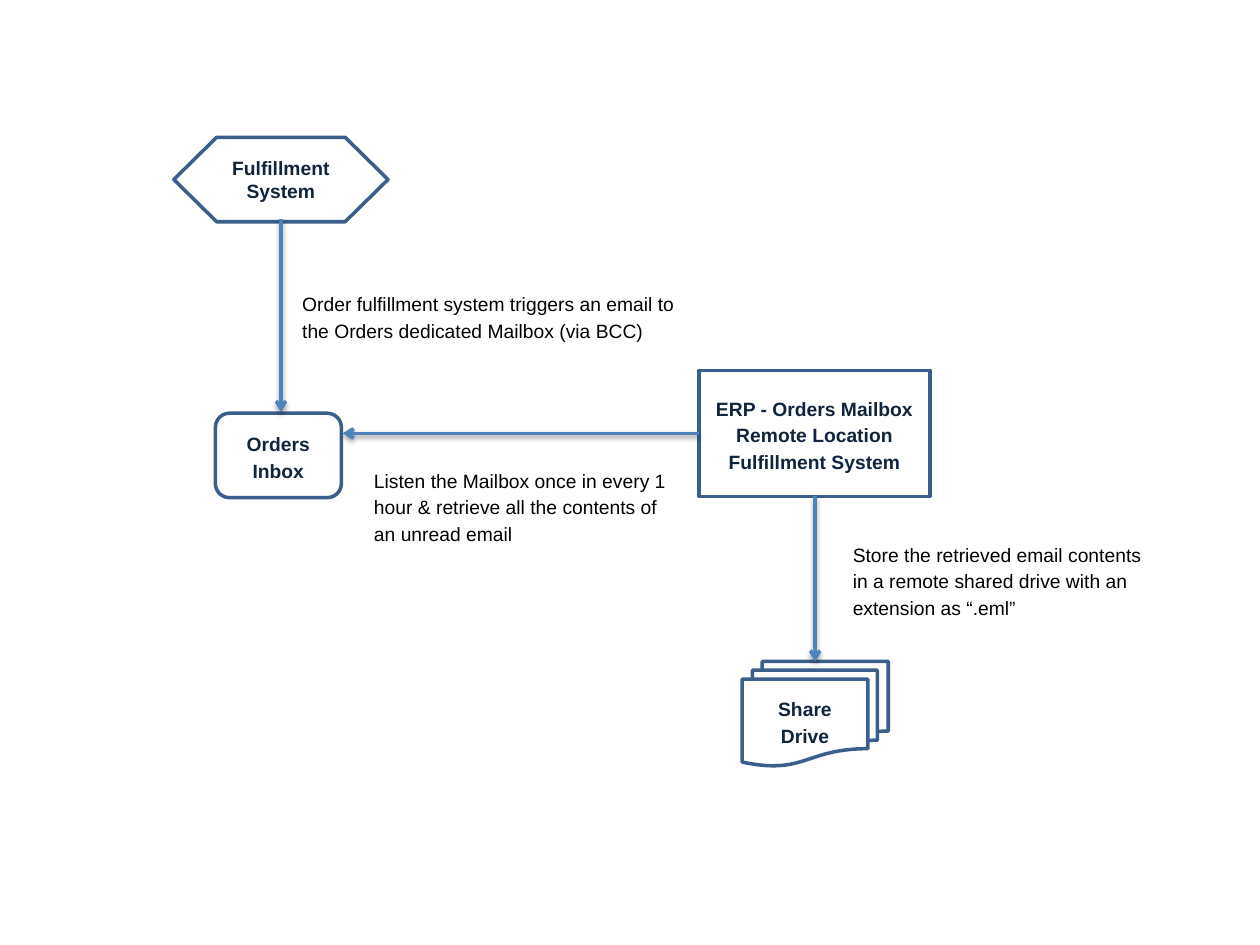
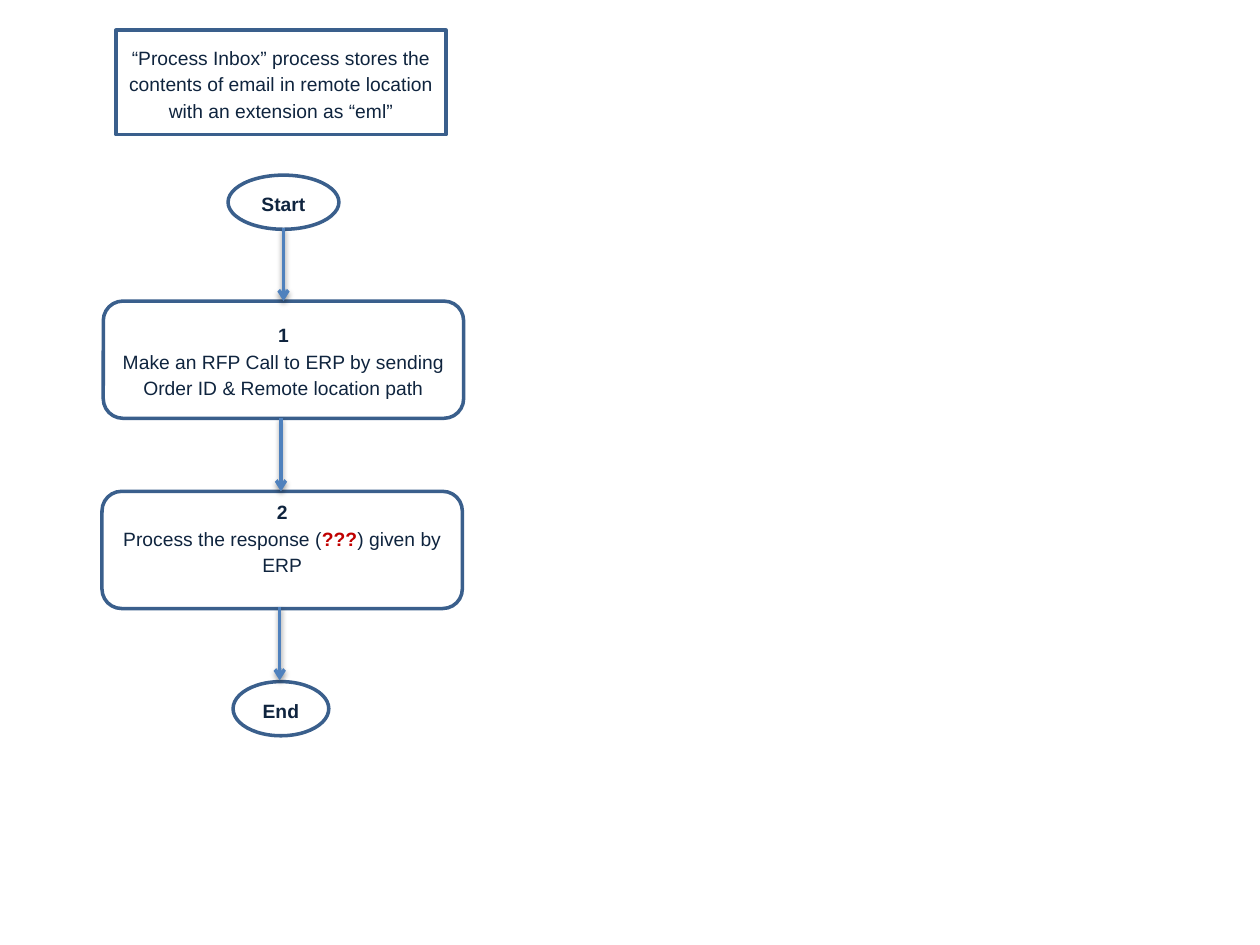
from dataclasses import dataclass
from typing import NamedTuple

from lxml.etree import SubElement
from pptx import Presentation
from pptx.dml.color import RGBColor
from pptx.enum.shapes import MSO_CONNECTOR, MSO_SHAPE
from pptx.enum.text import MSO_ANCHOR, MSO_AUTO_SIZE, PP_ALIGN
from pptx.oxml.ns import qn
from pptx.slide import Slide
from pptx.text.text import TextFrame
from pptx.util import Inches, Pt


@dataclass(frozen=True)
class Theme:
    """Colours, font and sizes shared by both flowcharts."""
    outline: RGBColor = RGBColor.from_string("3A5F8C")
    arrow: RGBColor = RGBColor.from_string("4F81BD")
    node_text: RGBColor = RGBColor.from_string("0F243E")
    note_text: RGBColor = RGBColor.from_string("000000")
    alert: RGBColor = RGBColor.from_string("C00000")
    font: str = "Arial"
    text_size: Pt = Pt(11)
    line_width: Pt = Pt(2)
    line_spacing: float = 1.15
    note_inset: float = 0.1


THEME = Theme()


class Span(NamedTuple):
    """A stretch of text with one format."""
    text: str
    bold: bool = False
    color: RGBColor = THEME.node_text


class Area(NamedTuple):
    """A rectangle in inches."""
    left: float
    top: float
    width: float
    height: float


@dataclass(frozen=True)
class Node:
    """An outlined flowchart shape holding paragraphs of spans."""
    kind: MSO_SHAPE
    area: Area
    paragraphs: list[list[Span]]
    line_spacing: float = THEME.line_spacing
    at_top: bool = False


class Note(NamedTuple):
    """A free label beside an arrow."""
    area: Area
    text: str


class Arrow(NamedTuple):
    """A straight arrow, from start to end, in inches."""
    start: tuple[float, float]
    end: tuple[float, float]


def label(text: str) -> list[list[Span]]:
    """Give one bold paragraph."""
    return [[Span(text, bold=True)]]


def write_text(frame: TextFrame, paragraphs: list[list[Span]],
               align: PP_ALIGN, spacing: float) -> None:
    """Fill a text frame run by run."""
    frame.word_wrap = True
    for index, spans in enumerate(paragraphs):
        para = frame.add_paragraph() if index else frame.paragraphs[0]
        para.alignment = align
        para.line_spacing = spacing
        for span in spans:
            run = para.add_run()
            run.text = span.text
            run.font.name = THEME.font
            run.font.size = THEME.text_size
            run.font.bold = span.bold
            run.font.color.rgb = span.color


def draw_node(page: Slide, node: Node) -> None:
    """Draw an outlined shape with centred text."""
    shape = page.shapes.add_shape(node.kind, *map(Inches, node.area))
    shape.shadow.inherit = False
    shape.fill.background()
    shape.line.color.rgb = THEME.outline
    shape.line.width = THEME.line_width
    frame = shape.text_frame
    frame.vertical_anchor = MSO_ANCHOR.MIDDLE
    if node.at_top:
        frame.vertical_anchor = MSO_ANCHOR.TOP
        frame.margin_top = 0
    write_text(frame, node.paragraphs, PP_ALIGN.CENTER, node.line_spacing)


def draw_note(page: Slide, note: Note) -> None:
    """Draw a left-aligned label."""
    frame = page.shapes.add_textbox(*map(Inches, note.area)).text_frame
    frame.auto_size = MSO_AUTO_SIZE.SHAPE_TO_FIT_TEXT
    frame.vertical_anchor = MSO_ANCHOR.MIDDLE
    inset = Inches(THEME.note_inset)
    frame.margin_left = frame.margin_right = inset
    frame.margin_top = frame.margin_bottom = inset
    write_text(frame, [[Span(note.text, color=THEME.note_text)]],
               PP_ALIGN.LEFT, THEME.line_spacing)


def draw_arrow(page: Slide, arrow: Arrow) -> None:
    """Draw a connector with an open head and a soft shadow below."""
    connector = page.shapes.add_connector(
        MSO_CONNECTOR.STRAIGHT, *map(Inches, arrow.start + arrow.end))
    connector.line.color.rgb = THEME.arrow
    connector.line.width = THEME.line_width
    properties = connector.element.spPr
    SubElement(properties.find(qn("a:ln")), qn("a:tailEnd"), type="arrow")
    effects = SubElement(properties, qn("a:effectLst"))
    shadow = SubElement(effects, qn("a:outerShdw"), blurRad=str(Pt(3.1)),
                        dist=str(Pt(1.6)), dir="5400000", rotWithShape="0")
    color = SubElement(shadow, qn("a:srgbClr"), val="000000")
    SubElement(color, qn("a:alpha"), val="38000")


def draw_page(deck: Presentation, nodes: list[Node], notes: list[Note],
              arrows: list[Arrow]) -> None:
    """Add a blank slide and draw one flowchart on it."""
    page = deck.slides.add_slide(deck.slide_layouts[6])
    for node in nodes:
        draw_node(page, node)
    for arrow in arrows:
        draw_arrow(page, arrow)
    for note in notes:
        draw_note(page, note)


def mailbox_page(deck: Presentation) -> None:
    """Show how order emails travel to the share drive."""
    nodes = [
        Node(MSO_SHAPE.ROUNDED_RECTANGLE, Area(1.71, 3.28, 1, 0.67),
             label("Orders Inbox")),
        Node(MSO_SHAPE.FLOWCHART_MULTIDOCUMENT, Area(5.89, 5.25, 1.16, 0.83),
             label("Share Drive")),
        Node(MSO_SHAPE.RECTANGLE, Area(5.55, 2.94, 1.83, 1),
             label("ERP - Orders Mailbox Remote Location Fulfillment System")),
        Node(MSO_SHAPE.FLOWCHART_PREPARATION, Area(1.38, 1.09, 1.7, 0.67),
             label("Fulfillment System"), line_spacing=1.0),
    ]
    notes = [
        Note(Area(2.3, 2.19, 3.38, 0.63),
             "Order fulfillment system triggers an email to the Orders "
             "dedicated Mailbox (via BCC)"),
        Note(Area(2.87, 3.59, 2.53, 0.84),
             "Listen the Mailbox once in every 1 hour & retrieve all the "
             "contents of an unread email"),
        Note(Area(6.67, 4.18, 2.5, 0.84),
             "Store the retrieved email contents in a remote shared drive "
             "with an extension as “.eml”"),
    ]
    arrows = [
        Arrow((2.23, 1.74), (2.23, 3.27)),
        Arrow((5.55, 3.44), (2.72, 3.44)),
        Arrow((6.47, 3.94), (6.47, 5.25)),
    ]
    draw_page(deck, nodes, notes, arrows)


def process_page(deck: Presentation) -> None:
    """Show the steps from start to end."""
    intro = ("“Process Inbox” process stores the contents of email in remote "
             "location with an extension as “eml”")
    first_step = label("1") + [[
        Span("Make an RFP Call to ERP by sending Order ID & Remote "
             "location path")]]
    second_step = label("2") + [[
        Span("Process the response ("),
        Span("???", bold=True, color=THEME.alert),
        Span(") given by ERP")]]
    nodes = [
        Node(MSO_SHAPE.RECTANGLE, Area(0.92, 0.24, 2.62, 0.83),
             [[Span(intro)]]),
        Node(MSO_SHAPE.OVAL, Area(1.81, 1.39, 0.88, 0.43), label("Start")),
        Node(MSO_SHAPE.ROUNDED_RECTANGLE, Area(0.82, 2.39, 2.86, 0.93),
             first_step),
        Node(MSO_SHAPE.ROUNDED_RECTANGLE, Area(0.81, 3.9, 2.86, 0.93),
             second_step, at_top=True),
        Node(MSO_SHAPE.OVAL, Area(1.85, 5.41, 0.76, 0.43), label("End")),
    ]
    arrow_length = 0.58
    arrows = [Arrow((x, top), (x, top + arrow_length))
              for x, top in ((2.25, 1.81), (2.23, 3.32), (2.22, 4.82))]
    draw_page(deck, nodes, [], arrows)


def main() -> None:
    """Build and save the deck."""
    deck = Presentation()
    deck.slide_width, deck.slide_height = Inches(10), Inches(7.5)
    mailbox_page(deck)
    process_page(deck)
    deck.save("out.pptx")


main()
